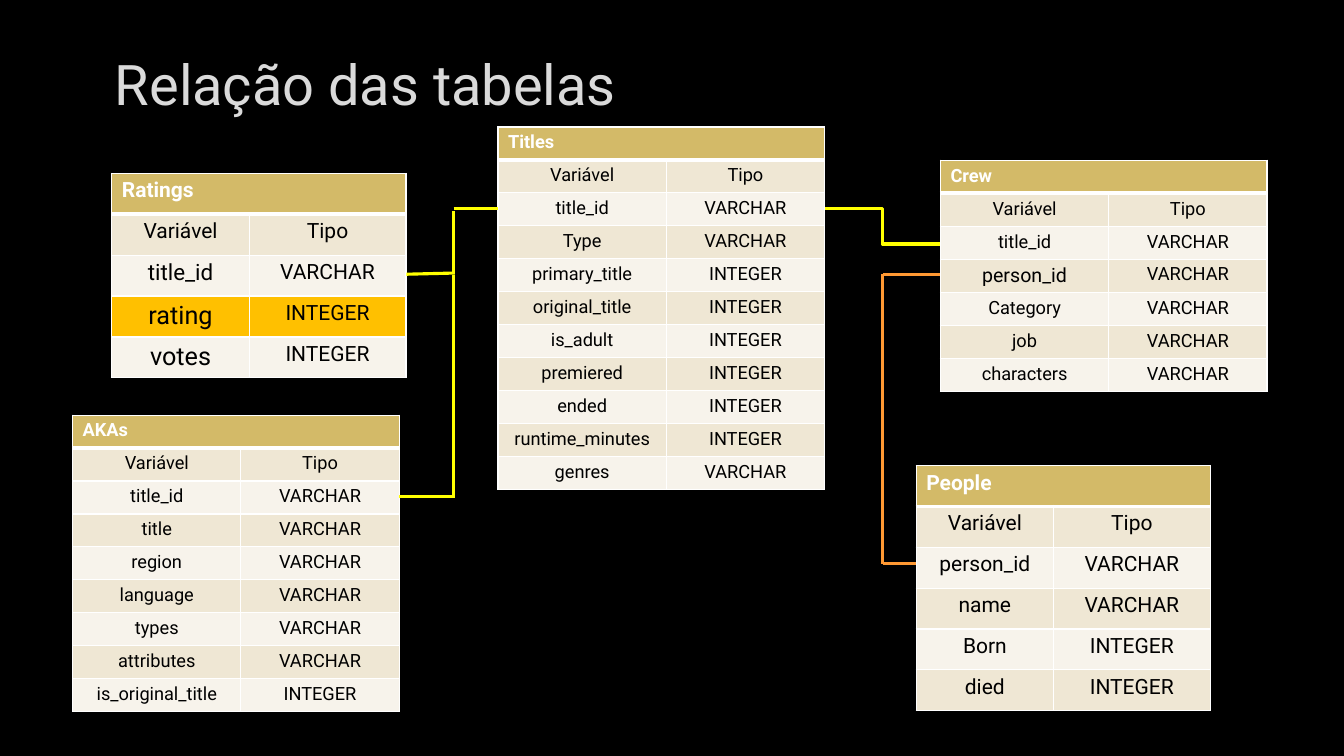
"""Build a slide showing how the five tables of a film database relate."""
from lxml import etree
from pptx import Presentation
from pptx.dml.color import RGBColor
from pptx.enum import shapes, text
from pptx.oxml import ns
from pptx.util import Cm, Pt

BLACK = RGBColor(0x00, 0x00, 0x00)
WHITE = RGBColor(0xFF, 0xFF, 0xFF)
TITLE_GRAY = RGBColor(0xDA, 0xDA, 0xDA)
GOLD = RGBColor(0xD3, 0xBA, 0x68)
SAND = RGBColor(0xEF, 0xE7, 0xD4)
CREAM = RGBColor(0xF7, 0xF3, 0xEB)
HIGHLIGHT = RGBColor(0xFF, 0xC0, 0x00)
YELLOW = RGBColor(0xFF, 0xFF, 0x00)
ORANGE = RGBColor(0xFF, 0x99, 0x33)
FONT = "Roboto"

LARGE = {"size": 15, "row": 1.03, "columns": (3.46, 3.95)}
SMALL = {"size": 13, "row": 0.83, "columns": (4.24, 3.99)}

ENTITIES = [
    ("People", 23.09, 11.73, LARGE, [
        ("person_id", "VARCHAR"), ("name", "VARCHAR"),
        ("Born", "INTEGER"), ("died", "INTEGER")]),
    ("Titles", 12.55, 3.2, SMALL, [
        ("title_id", "VARCHAR"), ("Type", "VARCHAR"),
        ("primary_title", "INTEGER"), ("original_title", "INTEGER"),
        ("is_adult", "INTEGER"), ("premiered", "INTEGER"),
        ("ended", "INTEGER"), ("runtime_minutes", "INTEGER"),
        ("genres", "VARCHAR")]),
    ("Ratings", 2.82, 4.37, LARGE, [
        ("title_id", "VARCHAR"), ("rating", "INTEGER"), ("votes", "INTEGER")]),
    ("AKAs", 1.83, 10.46, SMALL, [
        ("title_id", "VARCHAR"), ("title", "VARCHAR"), ("region", "VARCHAR"),
        ("language", "VARCHAR"), ("types", "VARCHAR"),
        ("attributes", "VARCHAR"), ("is_original_title", "INTEGER")]),
    ("Crew", 23.7, 4.04, SMALL, [
        ("title_id", "VARCHAR"), ("person_id", "VARCHAR"),
        ("Category", "VARCHAR"), ("job", "VARCHAR"),
        ("characters", "VARCHAR")]),
]
SPECIAL_SIZES = {
    ("Ratings", "title_id"): 16, ("Ratings", "rating"): 18,
    ("Ratings", "votes"): 18, ("Crew", "person_id"): 14,
}

STRAIGHT = shapes.MSO_CONNECTOR.STRAIGHT
ELBOW = shapes.MSO_CONNECTOR.ELBOW
LINKS = [
    (STRAIGHT, YELLOW, 11.43, 5.26, 12.55, 5.26),
    (STRAIGHT, YELLOW, 11.43, 12.52, 11.43, 6.93),
    (ELBOW, YELLOW, 20.78, 5.26, 23.7, 6.15),
    (STRAIGHT, ORANGE, 22.25, 6.91, 23.7, 6.91),
    (STRAIGHT, ORANGE, 22.25, 6.91, 22.25, 14.2),
    (STRAIGHT, ORANGE, 22.25, 14.2, 23.09, 14.2),
    (STRAIGHT, YELLOW, 11.43, 6.91, 11.43, 5.31),
    (STRAIGHT, YELLOW, 11.46, 6.88, 10.24, 6.91),
    (STRAIGHT, YELLOW, 11.46, 12.52, 10.06, 12.52),
]


def style_cell(cell, fill, top, bottom):
    """Fill the cell and draw its white borders."""
    cell.fill.solid()
    cell.fill.fore_color.rgb = fill
    properties = cell._tc.get_or_add_tcPr()
    for index, (side, width) in enumerate(
            [("lnL", 1), ("lnR", 1), ("lnT", top), ("lnB", bottom)]):
        border = etree.Element(ns.qn("a:" + side), w=str(Pt(width)))
        solid = etree.SubElement(border, ns.qn("a:solidFill"))
        etree.SubElement(solid, ns.qn("a:srgbClr"), val=str(WHITE))
        properties.insert(index, border)


def write(frame, wording, size, color, bold=False, align=text.PP_ALIGN.CENTER):
    """Put one formatted paragraph in a text frame."""
    paragraph = frame.paragraphs[0]
    paragraph.text = wording
    paragraph.alignment = align
    paragraph.font.name = FONT
    paragraph.font.size = Pt(size)
    paragraph.font.bold = bold
    paragraph.font.color.rgb = color


deck = Presentation()
deck.slide_width, deck.slide_height = Cm(33.87), Cm(19.05)
slide = deck.slides.add_slide(deck.slide_layouts[6])
slide.background.fill.solid()
slide.background.fill.fore_color.rgb = BLACK

heading = slide.shapes.add_textbox(Cm(0), Cm(0.74), Cm(18.42), Cm(2.69)).text_frame
heading.word_wrap = True
heading.vertical_anchor = text.MSO_ANCHOR.MIDDLE
write(heading, "Relação das tabelas", 40, TITLE_GRAY)

for entity, left, top, layout, fields in ENTITIES:
    rows = [("Variável", "Tipo")] + fields
    grid = slide.shapes.add_table(
        len(rows) + 1, 2, Cm(left), Cm(top), Cm(sum(layout["columns"])),
        Cm(layout["row"] * (len(rows) + 1))).table
    grid.first_row = grid.horz_banding = False
    for column, width in zip(grid.columns, layout["columns"]):
        column.width = Cm(width)
    for row in grid.rows:
        row.height = Cm(layout["row"])

    for column in range(2):
        style_cell(grid.cell(0, column), GOLD, 1, 3)
    grid.cell(0, 0).merge(grid.cell(0, 1))
    write(grid.cell(0, 0).text_frame, entity, layout["size"], WHITE, True,
          text.PP_ALIGN.LEFT)

    for number, (variable, kind) in enumerate(rows, 1):
        fill = SAND if number % 2 else CREAM
        if variable == "rating":
            fill = HIGHLIGHT
        variable_size = SPECIAL_SIZES.get((entity, variable), layout["size"])
        for column, (wording, size) in enumerate(
                [(variable, variable_size), (kind, layout["size"])]):
            cell = grid.cell(number, column)
            style_cell(cell, fill, 3 if number == 1 else 1, 1)
            write(cell.text_frame, wording, size, BLACK)

for kind, color, *ends in LINKS:
    link = slide.shapes.add_connector(kind, *map(Cm, ends))
    link.line.color.rgb = color
    link.line.width = Pt(2.25)
    etree.SubElement(link._element.spPr, ns.qn("a:effectLst"))

deck.save("out.pptx")
